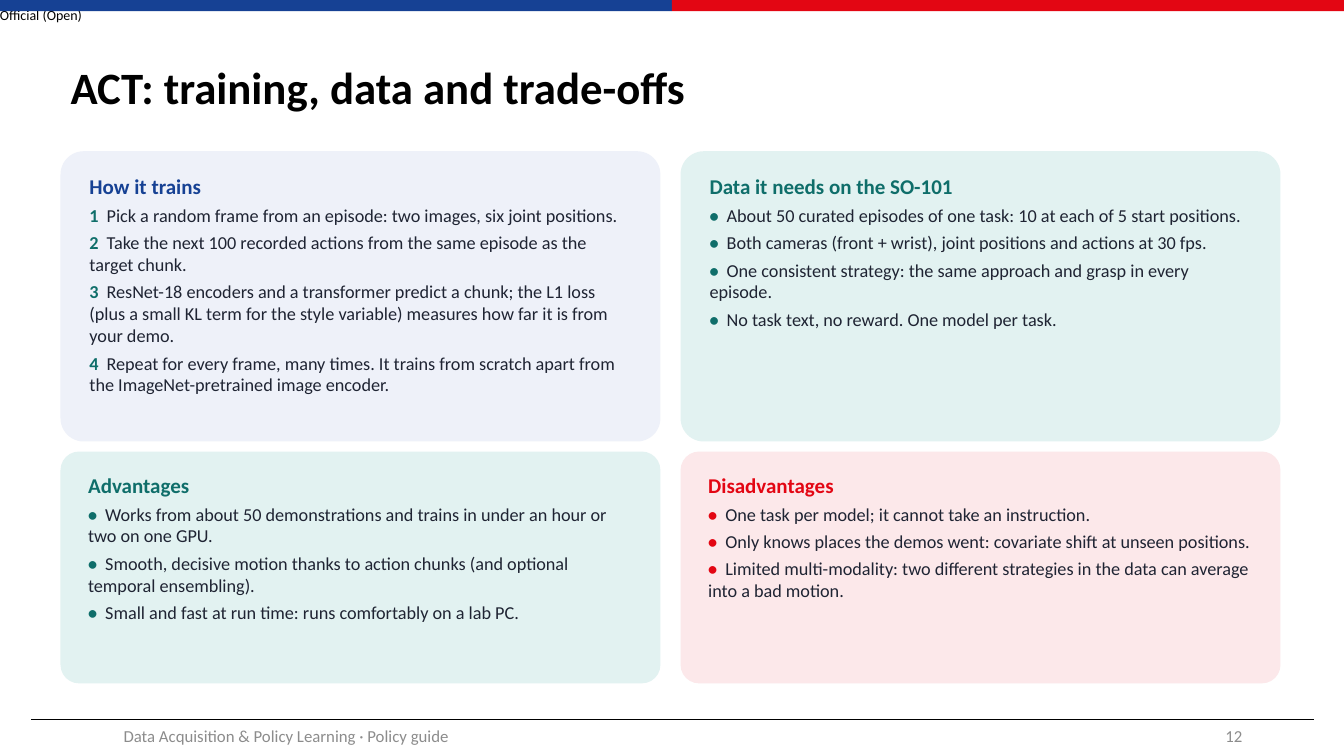
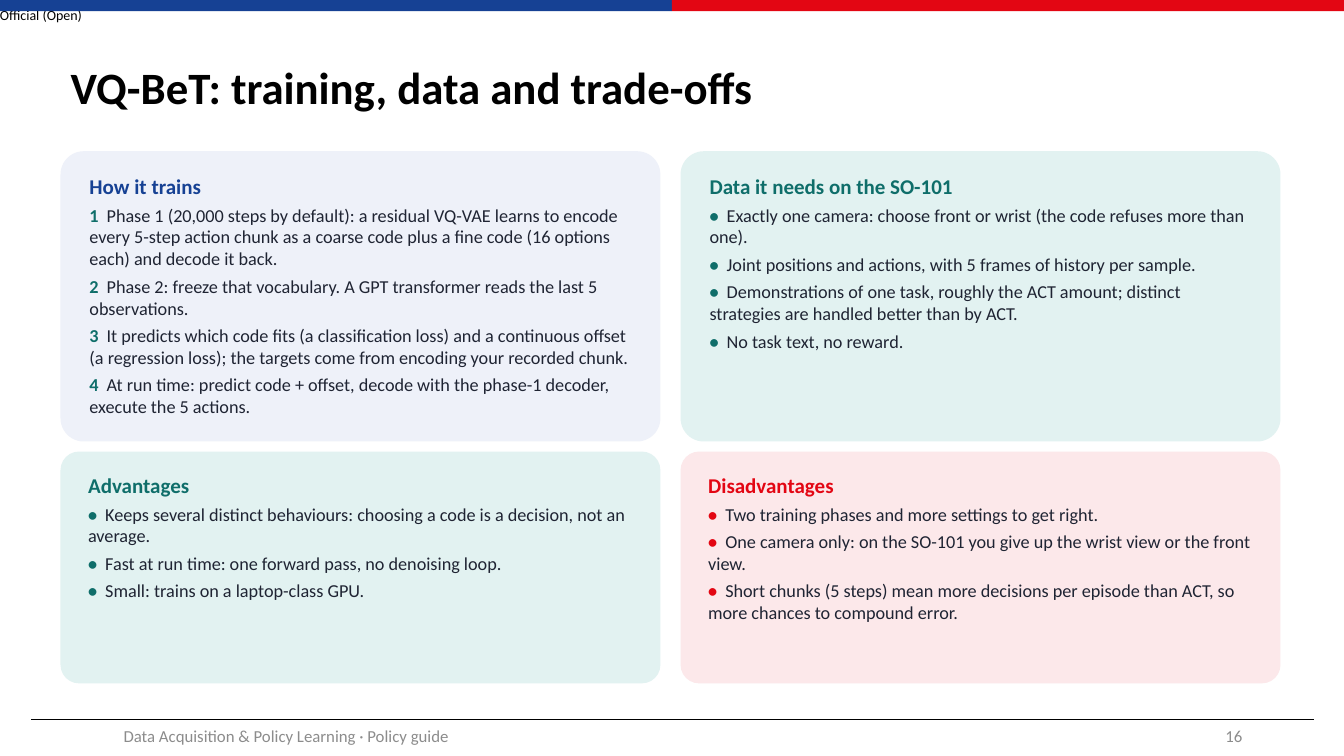
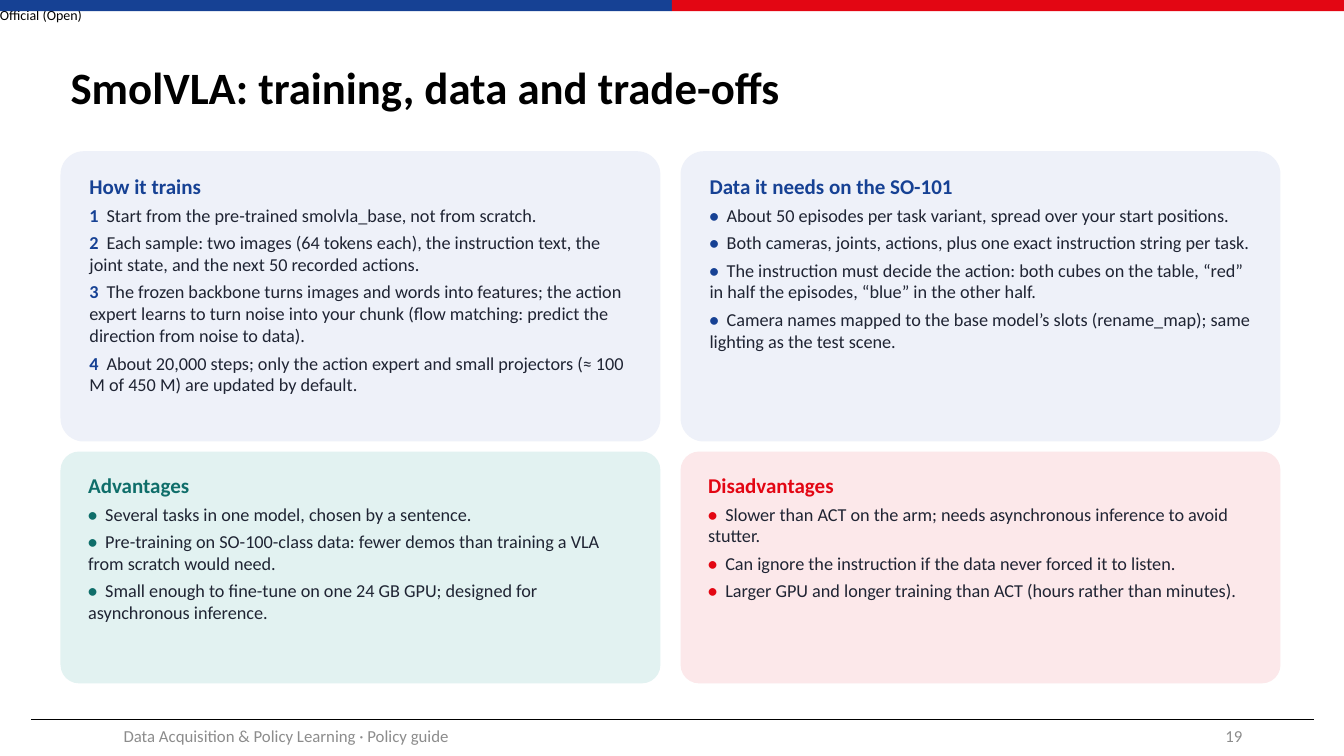
from dataclasses import dataclass

from lxml import etree
from pptx import Presentation
from pptx.dml.color import RGBColor
from pptx.enum.shapes import MSO_CONNECTOR, MSO_SHAPE
from pptx.enum.text import MSO_ANCHOR, MSO_AUTO_SIZE, PP_ALIGN
from pptx.oxml.ns import qn
from pptx.util import Inches, Pt

RECT, ROUND = MSO_SHAPE.RECTANGLE, MSO_SHAPE.ROUNDED_RECTANGLE
LINE = MSO_CONNECTOR.STRAIGHT
LEFT, MID, RIGHT = PP_ALIGN.LEFT, PP_ALIGN.CENTER, PP_ALIGN.RIGHT
TOP, CENTRE = MSO_ANCHOR.TOP, MSO_ANCHOR.MIDDLE
GROW = MSO_AUTO_SIZE.SHAPE_TO_FIT_TEXT

FONT = "Calibri"
BLUE, RED, TEAL = "164194", "E30613", "0F6E6A"
BLACK, INK, GREY = "000000", "1F2433", "8C8C8C"
PALE = {BLUE: "EEF1F9", TEAL: "E2F2F1", RED: "FCE8EA"}

WIDE, HIGH = 13.33, 7.5
COLS = (0.6, 6.75)
ROWS = ((1.5, 2.88), (4.48, 2.3))  # top and height
CARD = 5.95
TAB = 0.17


@dataclass
class Topic:
    name: str
    page: int
    tone: str
    steps: list[str]
    data: list[str]
    pros: list[str]
    cons: list[str]


@dataclass
class Panel:
    head: str
    tone: str
    mark: str
    items: list[str]
    count: bool = False


TOPICS = [
    Topic(
        "ACT", 12, TEAL,
        steps=[
            "Pick a random frame from an episode: two images, six joint positions.",
            "Take the next 100 recorded actions from the same episode as the target chunk.",
            "ResNet-18 encoders and a transformer predict a chunk; the L1 loss (plus a small KL term "
            "for the style variable) measures how far it is from your demo.",
            "Repeat for every frame, many times. It trains from scratch apart from the "
            "ImageNet-pretrained image encoder.",
        ],
        data=[
            "About 50 curated episodes of one task: 10 at each of 5 start positions.",
            "Both cameras (front + wrist), joint positions and actions at 30 fps.",
            "One consistent strategy: the same approach and grasp in every episode.",
            "No task text, no reward. One model per task.",
        ],
        pros=[
            "Works from about 50 demonstrations and trains in under an hour or two on one GPU.",
            "Smooth, decisive motion thanks to action chunks (and optional temporal ensembling).",
            "Small and fast at run time: runs comfortably on a lab PC.",
        ],
        cons=[
            "One task per model; it cannot take an instruction.",
            "Only knows places the demos went: covariate shift at unseen positions.",
            "Limited multi-modality: two different strategies in the data can average into a bad motion.",
        ],
    ),
    Topic(
        "VQ-BeT", 16, TEAL,
        steps=[
            "Phase 1 (20,000 steps by default): a residual VQ-VAE learns to encode every 5-step action "
            "chunk as a coarse code plus a fine code (16 options each) and decode it back.",
            "Phase 2: freeze that vocabulary. A GPT transformer reads the last 5 observations.",
            "It predicts which code fits (a classification loss) and a continuous offset "
            "(a regression loss); the targets come from encoding your recorded chunk.",
            "At run time: predict code + offset, decode with the phase-1 decoder, execute the 5 actions.",
        ],
        data=[
            "Exactly one camera: choose front or wrist (the code refuses more than one).",
            "Joint positions and actions, with 5 frames of history per sample.",
            "Demonstrations of one task, roughly the ACT amount; distinct strategies are handled "
            "better than by ACT.",
            "No task text, no reward.",
        ],
        pros=[
            "Keeps several distinct behaviours: choosing a code is a decision, not an average.",
            "Fast at run time: one forward pass, no denoising loop.",
            "Small: trains on a laptop-class GPU.",
        ],
        cons=[
            "Two training phases and more settings to get right.",
            "One camera only: on the SO-101 you give up the wrist view or the front view.",
            "Short chunks (5 steps) mean more decisions per episode than ACT, so more chances to "
            "compound error.",
        ],
    ),
    Topic(
        "SmolVLA", 19, BLUE,
        steps=[
            "Start from the pre-trained smolvla_base, not from scratch.",
            "Each sample: two images (64 tokens each), the instruction text, the joint state, and the "
            "next 50 recorded actions.",
            "The frozen backbone turns images and words into features; the action expert learns to turn "
            "noise into your chunk (flow matching: predict the direction from noise to data).",
            "About 20,000 steps; only the action expert and small projectors (≈ 100 M of 450 M) are "
            "updated by default.",
        ],
        data=[
            "About 50 episodes per task variant, spread over your start positions.",
            "Both cameras, joints, actions, plus one exact instruction string per task.",
            "The instruction must decide the action: both cubes on the table, “red” in half the "
            "episodes, “blue” in the other half.",
            "Camera names mapped to the base model’s slots (rename_map); same lighting as the test scene.",
        ],
        pros=[
            "Several tasks in one model, chosen by a sentence.",
            "Pre-training on SO-100-class data: fewer demos than training a VLA from scratch would need.",
            "Small enough to fine-tune on one 24 GB GPU; designed for asynchronous inference.",
        ],
        cons=[
            "Slower than ACT on the arm; needs asynchronous inference to avoid stutter.",
            "Can ignore the instruction if the data never forced it to listen.",
            "Larger GPU and longer training than ACT (hours rather than minutes).",
        ],
    ),
]


def rgb(code: str) -> RGBColor:
    return RGBColor.from_string(code)


def write(par, text: str, *, size: float, color: str = INK, bold: bool = False, align=LEFT) -> None:
    """Add one formatted run to a paragraph."""
    par.alignment = align
    run = par.add_run()
    run.text = text
    font = run.font
    font.name, font.size, font.bold = FONT, Pt(size), bold
    font.color.rgb = rgb(color)


def block(slide, kind, x: float, y: float, w: float, h: float, fill: str):
    shape = slide.shapes.add_shape(kind, Inches(x), Inches(y), Inches(w), Inches(h))
    shape.shadow.inherit = False
    shape.fill.solid()
    shape.fill.fore_color.rgb = rgb(fill)
    shape.line.fill.background()
    return shape


def label(slide, text: str, x: float, y: float, w: float, h: float, **style):
    """Place a one-line text box and return its frame."""
    box = slide.shapes.add_textbox(Inches(x), Inches(y), Inches(w), Inches(h))
    frame = box.text_frame
    frame.word_wrap = True
    frame.vertical_anchor = CENTRE
    write(frame.paragraphs[0], text, **style)
    return frame


def pad(frame, side: float, edge: float) -> None:
    frame.margin_left = frame.margin_right = Inches(side)
    frame.margin_top = frame.margin_bottom = Inches(edge)


def dress(slide, page: int) -> None:
    """Draw the marking, colour band, rule and footer."""
    mark = label(slide, "Official (Open)", 0, 0, 1.13, 0.29, size=10, color=BLACK)
    pad(mark, 0, 0)
    mark.word_wrap = False
    mark.auto_size = GROW
    half = WIDE / 2
    for i, tone in enumerate((BLUE, RED)):
        block(slide, RECT, i * half, 0, half, 0.11, tone)
    rule = slide.shapes.add_connector(LINE, Inches(0.31), Inches(7.14), Inches(13.03), Inches(7.14))
    rule.line.color.rgb = rgb(BLACK)
    rule.line.width = Pt(0.5)
    etree.SubElement(rule._element.spPr, qn("a:effectLst"))
    foot = "Data Acquisition & Policy Learning · Policy guide"
    label(slide, foot, 0.59, 7.1, 4.5, 0.4, size=12, color=GREY, align=MID)
    label(slide, str(page), 9.42, 7.1, 3, 0.4, size=12, color=GREY, align=RIGHT)


def head(slide, text: str) -> None:
    title = slide.shapes.title
    title.left, title.top = Inches(0.6), Inches(0.3)
    title.width, title.height = Inches(12.08), Inches(1.18)
    title.text_frame.vertical_anchor = CENTRE
    par = title.text_frame.paragraphs[0]
    par.line_spacing = 0.9
    write(par, text, size=32, color=BLACK, bold=True)


def card(slide, panel: Panel, x: float, y: float, h: float) -> None:
    """Draw a rounded card with a heading and a marked list."""
    shape = block(slide, ROUND, x, y, CARD, h, PALE[panel.tone])
    shape.adjustments[0] = 0.08
    frame = shape.text_frame
    frame.word_wrap = True
    frame.vertical_anchor = TOP
    pad(frame, 0.22, 0.15)
    par = frame.paragraphs[0]
    par.space_after = Pt(4)
    write(par, panel.head, size=15, color=panel.tone, bold=True)
    for n, item in enumerate(panel.items, 1):
        par = frame.add_paragraph()
        tabs = etree.SubElement(par._p.get_or_add_pPr(), qn("a:tabLst"))
        etree.SubElement(tabs, qn("a:tab"), pos=str(Inches(TAB)), algn="l")
        par.space_after = Pt(4)
        sign = str(n) if panel.count else "•"
        write(par, sign + "\t", size=13, color=panel.mark, bold=True)
        write(par, item, size=13)


def build(deck, topic: Topic) -> None:
    slide = deck.slides.add_slide(deck.slide_layouts[5])
    dress(slide, topic.page)
    head(slide, f"{topic.name}: training, data and trade-offs")
    panels = [
        Panel("How it trains", BLUE, topic.tone, topic.steps, count=True),
        Panel("Data it needs on the SO-101", topic.tone, topic.tone, topic.data),
        Panel("Advantages", TEAL, TEAL, topic.pros),
        Panel("Disadvantages", RED, RED, topic.cons),
    ]
    spots = [(x, y, h) for y, h in ROWS for x in COLS]
    for panel, spot in zip(panels, spots):
        card(slide, panel, *spot)


def main() -> None:
    deck = Presentation()
    deck.slide_width, deck.slide_height = Inches(WIDE), Inches(HIGH)
    for topic in TOPICS:
        build(deck, topic)
    deck.save("out.pptx")


if __name__ == "__main__":
    main()
